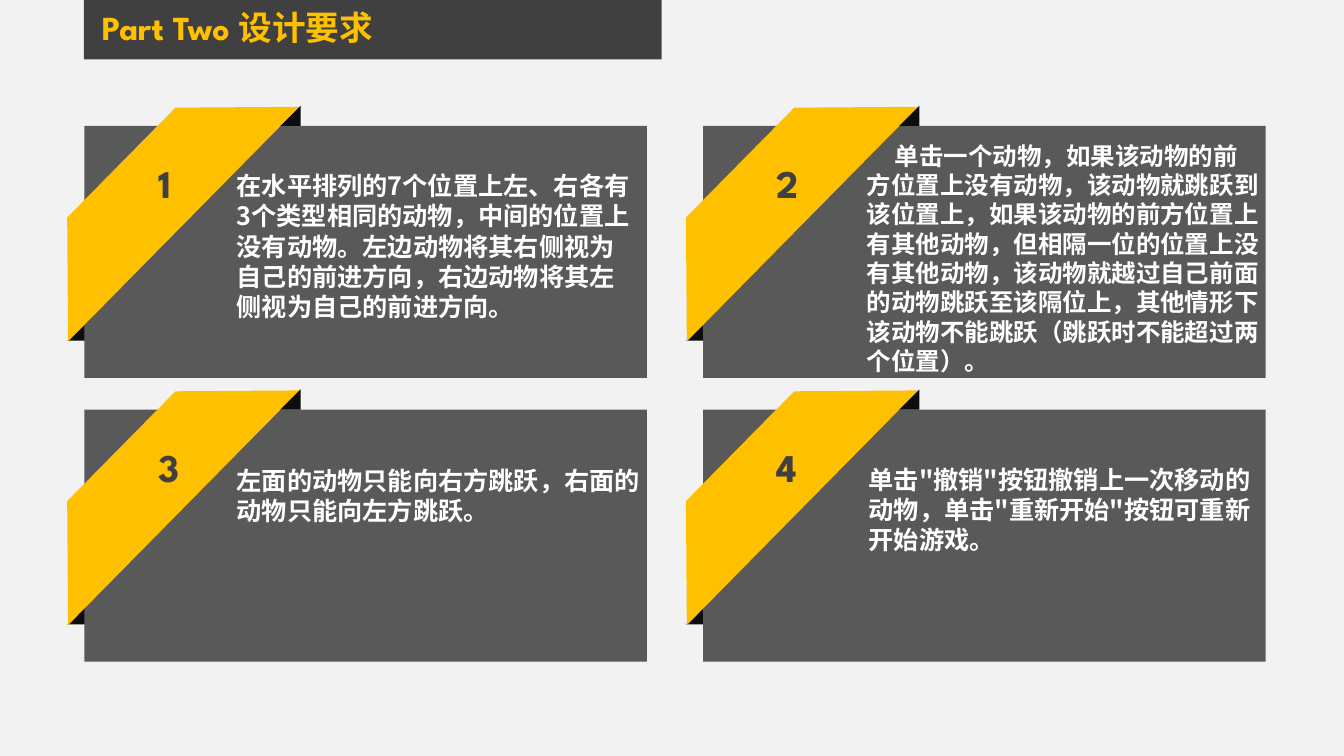
from dataclasses import dataclass

import pptx
import pptx.dml.color
import pptx.enum.shapes
import pptx.enum.text
import pptx.oxml
import pptx.oxml.ns
import pptx.shapes.autoshape
import pptx.util
from lxml import etree

Pt = pptx.util.Pt
Shape = pptx.shapes.autoshape.Shape
Kind = pptx.enum.shapes.MSO_SHAPE
Anchor = pptx.enum.text.MSO_ANCHOR
AutoSize = pptx.enum.text.MSO_AUTO_SIZE

LATIN_FONT = "League Spartan"
CHINESE_FONT = "Noto Sans CJK SC"
PAPER, BAR, CARD, FOLD = "F2F2F2", "404040", "595959", "0D0D0D"
YELLOW, WHITE = "FFC000", "FFFFFF"

CARD_LEFT, CARD_TOP = 60.3, 90
CARD_WIDTH, CARD_HEIGHT = 401.8, 180
COLUMN_STEP, ROW_STEP = 442, 202.6
FOLD_SIZE = 14.4


@dataclass(frozen=True)
class Box:
    left: float
    top: float
    width: float
    height: float

    def moved(self, right: float, down: float) -> "Box":
        return Box(self.left + right, self.top + down, self.width, self.height)

    def lengths(self) -> list[pptx.util.Length]:
        return [Pt(value) for value in (self.left, self.top, self.width, self.height)]


@dataclass(frozen=True)
class Requirement:
    paragraphs: tuple[str, ...]
    box: Box
    size: float = 18
    first_indent: float = 0


# Places inside a card, measured from its top left corner
CARD_BOX = Box(0, 0, CARD_WIDTH, CARD_HEIGHT)
LOWER_FOLD = Box(-12.2, 139, FOLD_SIZE, FOLD_SIZE)
UPPER_FOLD = Box(140, -FOLD_SIZE, FOLD_SIZE, FOLD_SIZE)
RIBBON = Box(-69, 16.8, 235.4, 62.6)
NUMBER = Box(45.5, 20.2, 30.2, 41.2)

REQUIREMENTS = [
    Requirement(
        ("在水平排列的7个位置上左、右各有3个类型相同的动物，中间的位置上没有动物。"
         "左边动物将其右侧视为自己的前进方向，右边动物将其左侧视为自己的前进方向。",),
        Box(162, 117.4, 297.4, 116.6)),
    Requirement(
        ("单击一个动物，如果该动物的前",
         "方位置上没有动物，该动物就跳跃到该位置上，如果该动物的前方位置上有其他动物，"
         "但相隔一位的位置上没有其他动物，该动物就越过自己前面的动物跳跃至该隔位上，"
         "其他情形下该动物不能跳跃（跳跃时不能超过两个位置）。"),
        Box(612, 95.8, 309.6, 177), size=17.5, first_indent=20),
    Requirement(
        ("左面的动物只能向右方跳跃，右面的动物只能向左方跳跃。",),
        Box(162, 328.3, 302.4, 51)),
    Requirement(
        ('单击"撤销"按钮撤销上一次移动的动物，单击"重新开始"按钮可重新开始游戏。',),
        Box(613.4, 327.6, 288, 72.7)),
]


def color(value: str) -> pptx.dml.color.RGBColor:
    return pptx.dml.color.RGBColor.from_string(value)


def add_block(shapes, kind: Kind, box: Box, fill: str,
              adjustment: float | None = None, rotation: float = 0) -> Shape:
    shape = shapes.add_shape(kind, *box.lengths())
    shape.shadow.inherit = False
    shape.fill.solid()
    shape.fill.fore_color.rgb = color(fill)
    shape.line.fill.background()
    shape.rotation = rotation
    if adjustment is not None:
        shape.adjustments[0] = adjustment
    return shape


def write(shape: Shape, paragraphs: tuple[str, ...], *, size: float, font: str, fill: str,
          anchor: Anchor = Anchor.TOP, wrap: bool = True, fit: AutoSize = AutoSize.NONE,
          first_indent: float = 0, line_spacing: float | None = None,
          space_before: float = 0) -> None:
    frame = shape.text_frame
    frame.word_wrap = wrap
    frame.auto_size = fit
    frame.vertical_anchor = anchor
    for index, text in enumerate(paragraphs):
        paragraph = frame.add_paragraph() if index else frame.paragraphs[0]
        paragraph.alignment = pptx.enum.text.PP_ALIGN.LEFT
        paragraph.space_before = Pt(space_before)
        if line_spacing:
            paragraph.line_spacing = line_spacing
        if first_indent and index == 0:
            properties = paragraph._p.get_or_add_pPr()
            properties.set("indent", str(Pt(first_indent)))
        run = paragraph.add_run()
        run.text = text
        run.font.name = font
        run.font.size = Pt(size)
        run.font.bold = True
        run.font.color.rgb = color(fill)
        east_asian = etree.SubElement(run.font._element, pptx.oxml.ns.qn("a:ea"))
        east_asian.set("typeface", CHINESE_FONT)


def add_card(slide, position: int) -> None:
    row, column = divmod(position, 2)
    right = CARD_LEFT + column * COLUMN_STEP
    down = CARD_TOP + row * ROW_STEP
    shapes = slide.shapes.add_group_shape().shapes
    add_block(shapes, Kind.ISOSCELES_TRIANGLE, LOWER_FOLD.moved(right, down), FOLD, 1)
    add_block(shapes, Kind.RECTANGLE, CARD_BOX.moved(right, down), CARD)
    add_block(shapes, Kind.TRAPEZOID, RIBBON.moved(right, down), YELLOW, 1, 314.6)
    add_block(shapes, Kind.ISOSCELES_TRIANGLE, UPPER_FOLD.moved(right, down), FOLD, 1)
    number = shapes.add_textbox(*NUMBER.moved(right, down).lengths())
    write(number, (str(position + 1),), size=28, font=LATIN_FONT, fill=BAR,
          wrap=False, fit=AutoSize.SHAPE_TO_FIT_TEXT)


def main() -> None:
    presentation = pptx.Presentation()
    presentation.slide_width, presentation.slide_height = Pt(960), Pt(540)
    slide = presentation.slides.add_slide(presentation.slide_layouts.get_by_name("Title Only"))
    slide.background.fill.solid()
    slide.background.fill.fore_color.rgb = color(PAPER)

    # Heading on its dark bar
    bar = add_block(slide.shapes, Kind.RECTANGLE, Box(60, 0, 412.6, 42.5), BAR)
    title = slide.shapes.title
    bar.element.addnext(title.element)
    title.left, title.top, title.width, title.height = Box(65.5, 4.3, 270, 36).lengths()
    write(title, ("Part Two 设计要求",), size=24, font=LATIN_FONT, fill=YELLOW,
          line_spacing=0.9, space_before=10)

    # Numbered cards
    for position in range(len(REQUIREMENTS)):
        add_card(slide, position)

    # Requirement texts
    for requirement in REQUIREMENTS:
        text_box = slide.shapes.add_textbox(*requirement.box.lengths())
        write(text_box, requirement.paragraphs, size=requirement.size, font=CHINESE_FONT,
              fill=WHITE, anchor=Anchor.MIDDLE, fit=AutoSize.SHAPE_TO_FIT_TEXT,
              first_indent=requirement.first_indent)

    presentation.save("out.pptx")


if __name__ == "__main__":
    main()
